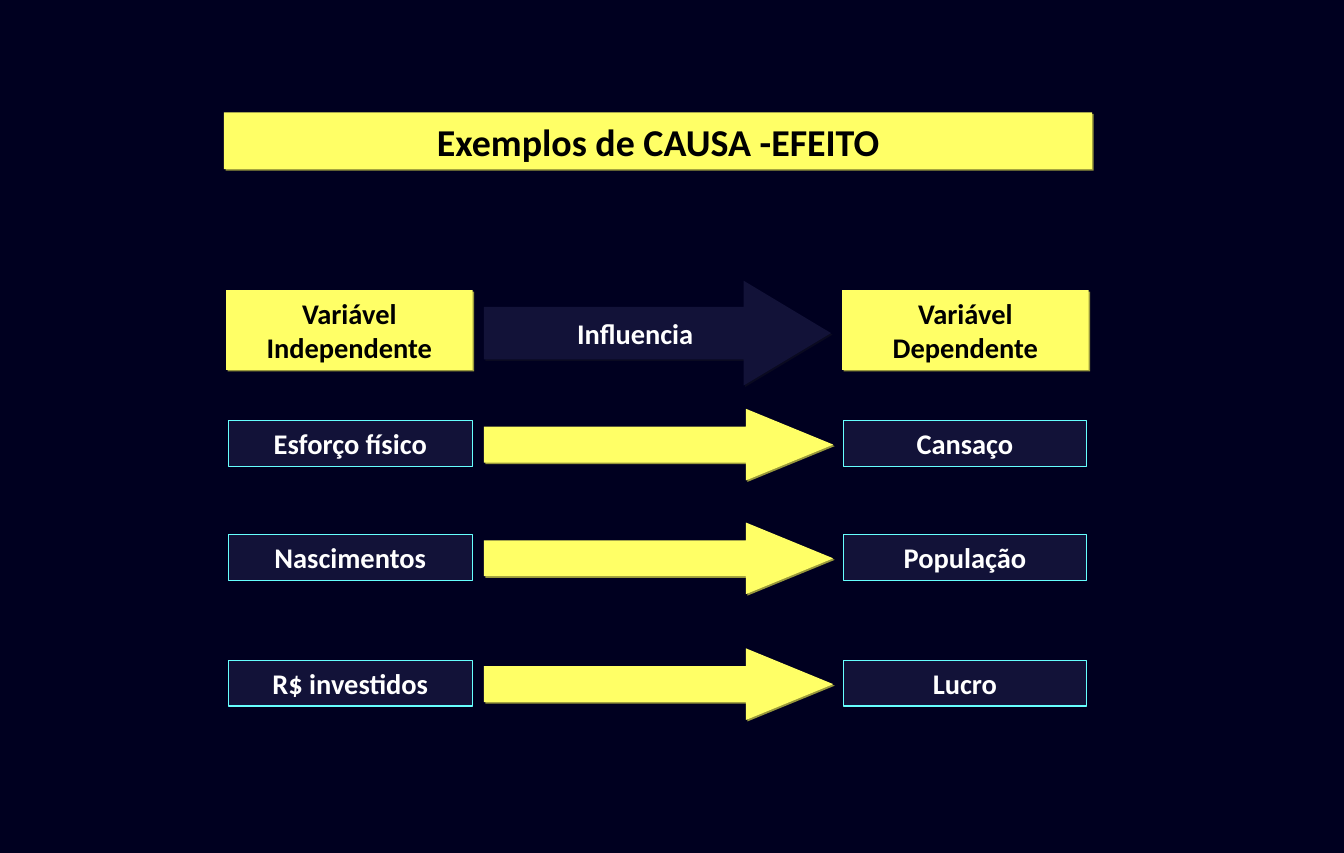
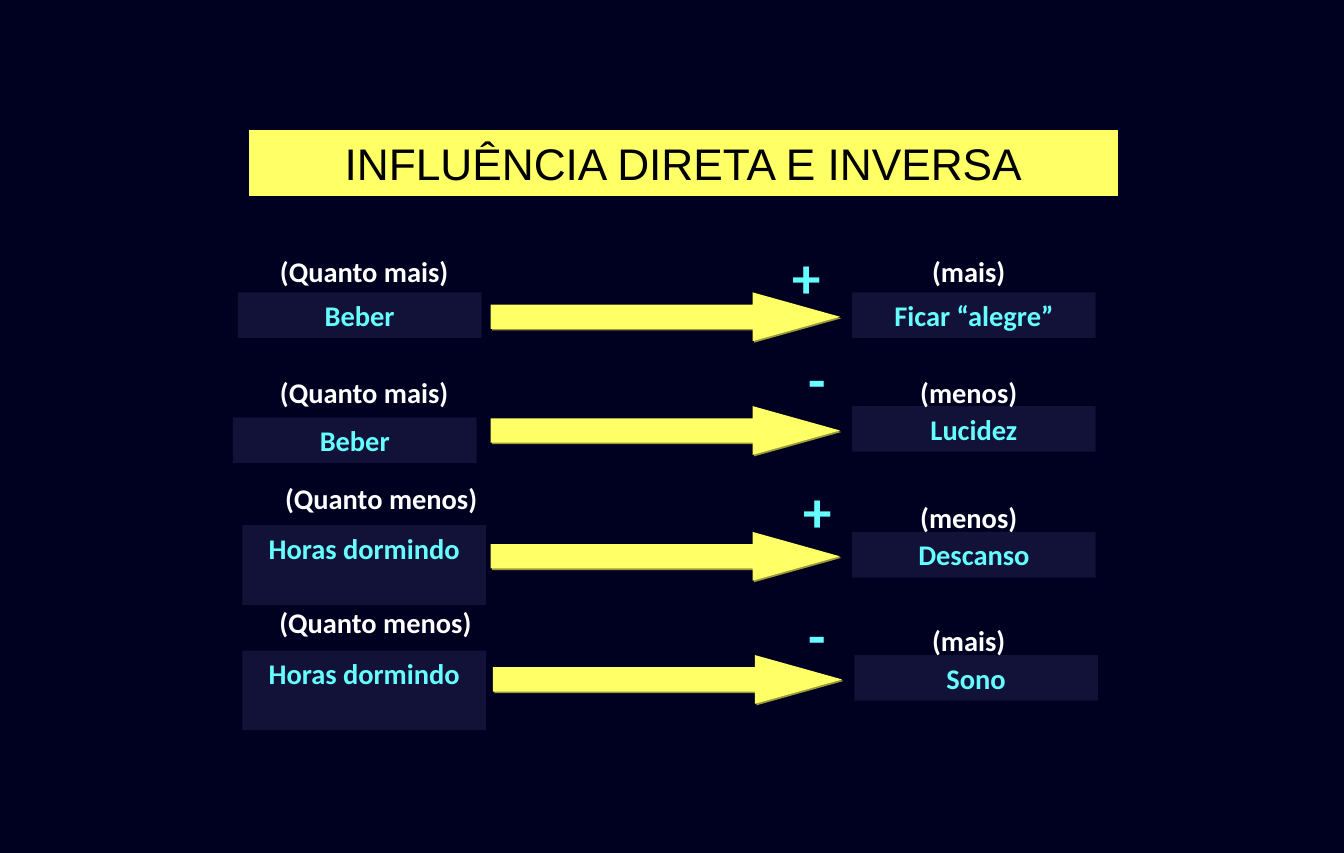
from lxml import etree
from pptx import Presentation
from pptx.dml.color import RGBColor
from pptx.enum import shapes, text
from pptx.oxml.ns import qn
from pptx.util import Cm, Pt

HUES = {"back": "000020", "panel": "121238", "sun": "FFFF66", "aqua": "66FFFF",
        "white": "FFFFFF", "black": "000000"}
SHADES = {"sun": "98983C", "panel": "0A0A21"}
RECT = shapes.MSO_SHAPE.RECTANGLE
ARROW = shapes.MSO_SHAPE.RIGHT_ARROW
HEAD = 1.95  # length of every arrow head, cm


def paint(shape, fill, edge=None, shade=False):
    """Fill, outline and optional hard shadow; gives the shape back."""
    shape.fill.solid()
    shape.fill.fore_color.rgb = RGBColor.from_string(HUES[fill])
    if edge:
        shape.line.color.rgb = RGBColor.from_string(HUES[edge])
        shape.line.width = Pt(0.75)
    else:
        shape.line.fill.background()
    shape.shadow.inherit = False
    if shade:
        effects = shape._element.spPr.find(qn("a:effectLst"))
        outer = etree.SubElement(effects, qn("a:outerShdw"), dist=str(Pt(1.4)),
                                 dir="2700000", algn="ctr", rotWithShape="0")
        etree.SubElement(outer, qn("a:srgbClr"), val=SHADES[fill])
    if shape.shape_type == shapes.MSO_SHAPE_TYPE.AUTO_SHAPE \
            and shape.auto_shape_type == ARROW:
        shape.adjustments[1] = HEAD * Cm(1) / shape.height
    return shape


def write(shape, words, hue, size=18, font="Calibri", bold=True):
    """Centred text that starts at the top of the shape."""
    frame = shape.text_frame
    frame.text = words
    frame.word_wrap = True
    frame.auto_size = text.MSO_AUTO_SIZE.NONE
    frame.vertical_anchor = text.MSO_ANCHOR.TOP
    para = frame.paragraphs[0]
    para.alignment = text.PP_ALIGN.CENTER
    para.font.name = font
    para.font.size = Pt(size)
    para.font.bold = bold
    para.font.color.rgb = RGBColor.from_string(HUES[hue])


deck = Presentation()
deck.slide_width, deck.slide_height = Cm(30), Cm(19.05)
ground = deck.slide_master.background.fill
ground.solid()
ground.fore_color.rgb = RGBColor.from_string(HUES["back"])

# Slides with their title bands
bands = [
    ("Exemplos de CAUSA -EFEITO", 5, 2.51, 1.27, None, True, 24, "Calibri"),
    ("INFLUÊNCIA DIRETA E INVERSA", 5.56, 2.92, 1.45, "sun", False, 28, "Arial"),
]
trees = []
for words, left, top, high, edge, strong, size, font in bands:
    slide = deck.slides.add_slide(deck.slide_layouts[5])
    band = slide.shapes.title
    band.left, band.top, band.width, band.height = Cm(left), Cm(top), Cm(19.38), Cm(high)
    paint(band, "sun", edge, strong)
    write(band, words, "black", size, font, strong)
    trees.append(slide.shapes)
cause, sway = trees

# Slide 1: heading row
for words, left in [("Variável Independente", 5.05), ("Variável Dependente", 18.8)]:
    box = cause.add_shape(RECT, Cm(left), Cm(6.48), Cm(5.5), Cm(1.78))
    write(paint(box, "sun", shade=True), words, "black")
paint(cause.add_shape(ARROW, Cm(10.8), Cm(6.27), Cm(7.75), Cm(2.34)), "panel", shade=True)
write(cause.add_textbox(Cm(10.8), Cm(6.93), Cm(6.76), Cm(1.02)), "Influencia", "white")

# Slide 1: examples
pairs = [
    (9.4, "Esforço físico", "Cansaço"),
    (11.94, "Nascimentos", "População"),
    (14.75, "R$ investidos", "Lucro"),
]
for top, *names in pairs:
    for words, left in zip(names, (5.1, 18.82)):
        box = cause.add_shape(RECT, Cm(left), Cm(top), Cm(5.44), Cm(1.02))
        write(paint(box, "panel", "aqua"), words, "white")
    arrow = cause.add_shape(ARROW, Cm(10.8), Cm(top - 0.27), Cm(7.8), Cm(1.6))
    paint(arrow, "sun", shade=True)

# Slide 2: each row has a top and shift for its arrow and effect box, then
# (words, left, top, height) of the cause, (words, left, top) of its caption,
# (words, top) of the effect caption, (mark, left, top) of the sign
rows = [
    (6.53, 0, ("Beber", 5.31, 6.53, 1.02), ("(Quanto mais)", 4.75, 5.54),
     "Ficar “alegre”", ("(mais)", 5.54), ("+", 17.25, 5.28)),
    (9.07, 0, ("Beber", 5.2, 9.32, 1.02), ("(Quanto mais)", 4.75, 8.26),
     "Lucidez", ("(menos)", 8.26), ("-", 17.5, 7.54)),
    (11.88, 0, ("Horas dormindo", 5.41, 11.73, 1.78), ("(Quanto menos)", 5.13, 10.62),
     "Descanso", ("(menos)", 11.05), ("+", 17.5, 10.49)),
    (14.63, 0.05, ("Horas dormindo", 5.41, 14.53, 1.78), ("(Quanto menos)", 5, 13.39),
     "Sono", ("(mais)", 13.8), ("-", 17.5, 13.26)),
]
for top, shift, first, more, effect, less, sign in rows:
    for words, left, y, high in [first, (effect, 19.02 + shift, top, 1.02)]:
        box = sway.add_shape(RECT, Cm(left), Cm(y), Cm(5.44), Cm(high))
        write(paint(box, "panel"), words, "aqua")
    arrow = sway.add_shape(ARROW, Cm(10.95 + shift), Cm(top), Cm(7.8), Cm(1.09))
    paint(arrow, "sun", shade=True)
    for words, left, y, wide in [(*more, 6.76), (less[0], 19.75, less[1], 3.75)]:
        write(sway.add_textbox(Cm(left), Cm(y), Cm(wide), Cm(1.02)), words, "white")
    mark, left, y = sign
    write(sway.add_textbox(Cm(left), Cm(y), Cm(1.5), Cm(1.78)), mark, "aqua", 36)

deck.save("out.pptx")
